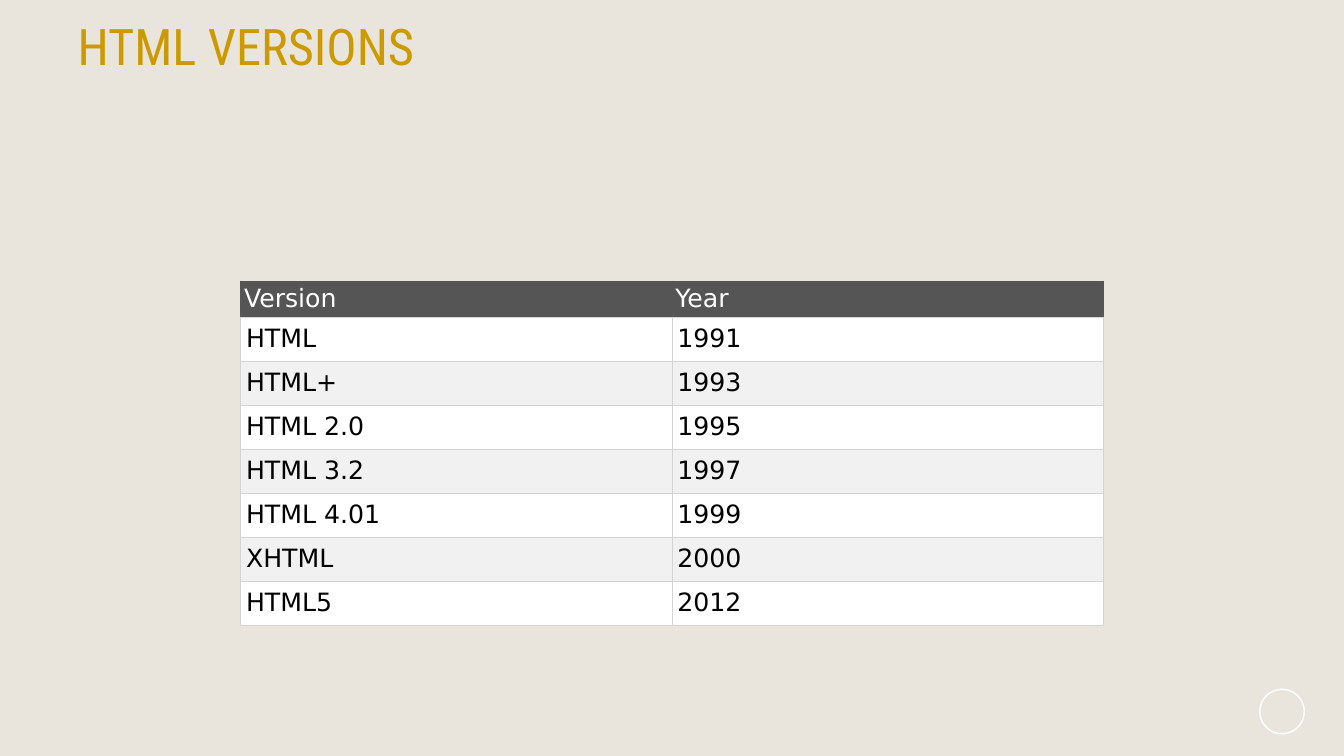
import pptx
import pptx.dml.color
import pptx.enum.shapes
import pptx.enum.text
import pptx.oxml
import pptx.oxml.ns
import pptx.util
import lxml.etree

Cm = pptx.util.Cm
Pt = pptx.util.Pt
RGB = pptx.dml.color.RGBColor

SAND = RGB(0xE9, 0xE5, 0xDC)
GOLD = RGB(0xCC, 0x99, 0x00)
SLATE = RGB(0x55, 0x55, 0x55)
RULE = RGB(0xD4, 0xD4, 0xD4)
PALE = RGB(0xF1, 0xF1, 0xF1)
WHITE = RGB(0xFF, 0xFF, 0xFF)
BLACK = RGB(0, 0, 0)

ROWS = [
    ("Version", "Year"),
    ("HTML", "1991"),
    ("HTML+", "1993"),
    ("HTML 2.0", "1995"),
    ("HTML 3.2", "1997"),
    ("HTML 4.01", "1999"),
    ("XHTML", "2000"),
    ("HTML5", "2012"),
]


def write(frame, text, *, font, size, color, space=1.0):
    frame.word_wrap = True
    para = frame.paragraphs[0]
    para.alignment = pptx.enum.text.PP_ALIGN.LEFT
    para.line_spacing = space
    run = para.add_run()
    run.text = text
    run.font.name = font
    run.font.size = Pt(size)
    run.font.color.rgb = color


class Page:
    head = "Roboto Condensed"
    body = "DejaVu Sans"

    def __init__(self, deck, back):
        self.slide = deck.slides.add_slide(deck.slide_layouts[5])
        fill = self.slide.background.fill
        fill.solid()
        fill.fore_color.rgb = back

    def title(self, text, left, top, width, height):
        box = self.slide.shapes.title
        box.left, box.top, box.width, box.height = left, top, width, height
        frame = box.text_frame
        frame.vertical_anchor = pptx.enum.text.MSO_ANCHOR.TOP
        frame.auto_size = pptx.enum.text.MSO_AUTO_SIZE.NONE
        write(frame, text, font=self.head, size=36, color=GOLD, space=0.9)

    def ring(self, left, top, size):
        oval = pptx.enum.shapes.MSO_SHAPE.OVAL
        ring = self.slide.shapes.add_shape(oval, left, top, size, size)
        ring.shadow.inherit = False
        ring.fill.background()
        ring.line.color.rgb = WHITE
        ring.line.width = Pt(1)

    def edge(self, cell, side, color):
        qn = pptx.oxml.ns.qn
        props = cell._tc.get_or_add_tcPr()
        line = lxml.etree.SubElement(props, qn("a:ln" + side), w=str(Pt(0.75)))
        fill = lxml.etree.SubElement(line, qn("a:solidFill"))
        lxml.etree.SubElement(fill, qn("a:srgbClr"), val=str(color))

    def cell(self, cell, text, *, fill, ink, rim, pad):
        for side in "LRT":
            self.edge(cell, side, rim)
        self.edge(cell, "B", RULE)
        cell.fill.solid()
        cell.fill.fore_color.rgb = fill
        cell.margin_left = cell.margin_right = pad[0]
        cell.margin_top = cell.margin_bottom = pad[1]
        write(cell.text_frame, text, font=self.body, size=18, color=ink)

    def table(self, rows, left, top, width, first, rest):
        count = len(rows[0])
        high = first + rest * (len(rows) - 1)
        grid = self.slide.shapes.add_table(
            len(rows), count, left, top, width * count, high).table
        for col in grid.columns:
            col.width = width
        for r, row in enumerate(rows):
            grid.rows[r].height = rest if r else first
            if r == 0:
                style = dict(fill=SLATE, ink=WHITE, rim=SLATE,
                             pad=(Cm(0.08), Cm(0.08)))
            else:
                style = dict(fill=WHITE if r % 2 else PALE, ink=BLACK,
                             rim=RULE, pad=(Cm(0.13), Cm(0.18)))
            for c, text in enumerate(row):
                self.cell(grid.cell(r, c), text, **style)


deck = pptx.Presentation()
deck.slide_width = Cm(33.87)
deck.slide_height = Cm(19.05)

page = Page(deck, SAND)
page.ring(Cm(31.75), Cm(17.37), Cm(1.12))
page.table(ROWS, Cm(6.07), Cm(7.08), Cm(10.87), Cm(0.91), Cm(1.11))
page.title("HTML VERSIONS", Cm(1.7), Cm(0.43), Cm(22.45), Cm(3.18))

deck.save("out.pptx")
